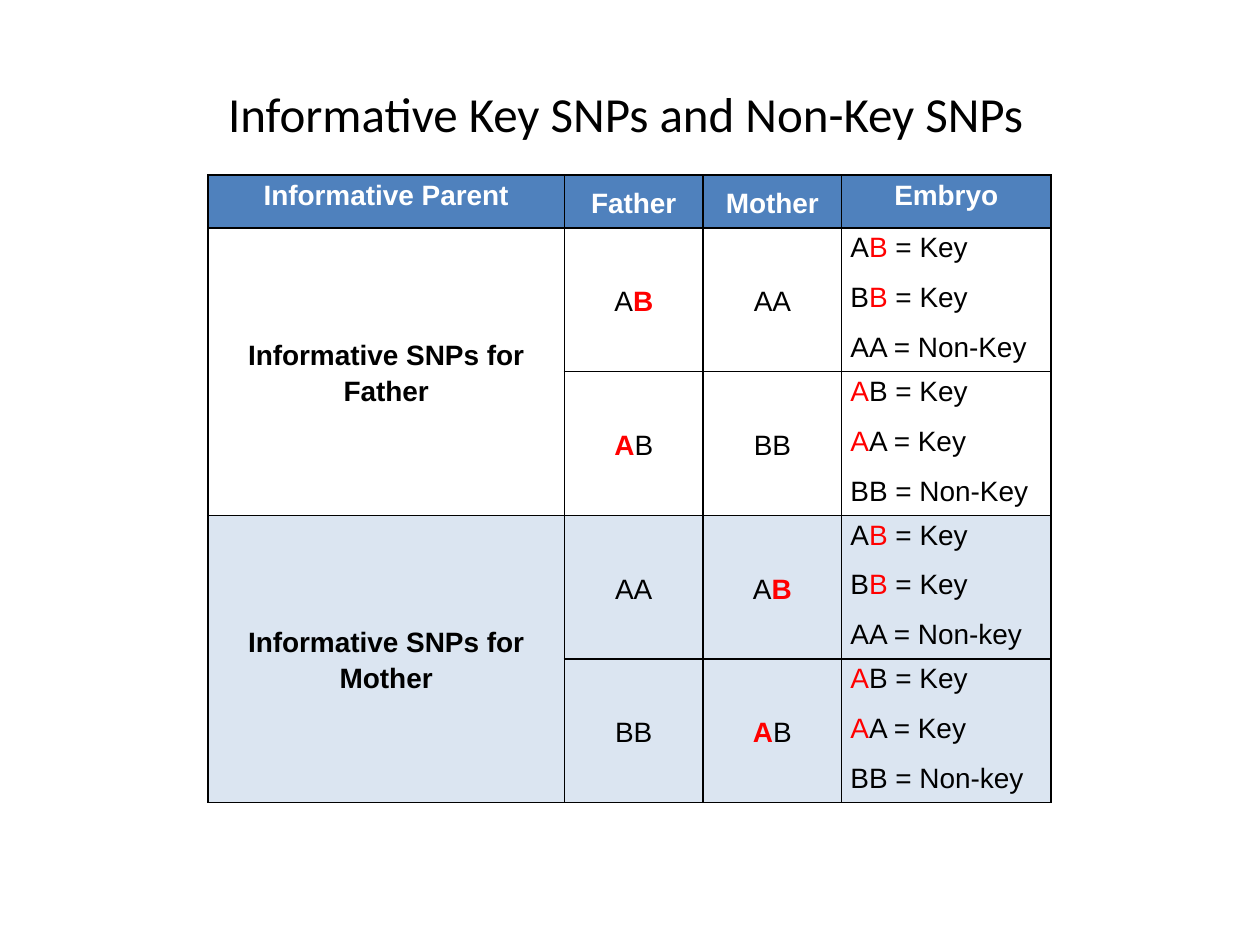
import pptx
import pptx.dml.color
import pptx.enum.text
import pptx.oxml
import pptx.oxml.ns
import pptx.util
from pptx.util import Inches, Pt

BLACK = pptx.dml.color.RGBColor(0x00, 0x00, 0x00)
WHITE = pptx.dml.color.RGBColor(0xFF, 0xFF, 0xFF)
RED = pptx.dml.color.RGBColor(0xFF, 0x00, 0x00)
HEADER_BLUE = pptx.dml.color.RGBColor(0x4F, 0x81, 0xBD)
PALE_BLUE = pptx.dml.color.RGBColor(0xDB, 0xE5, 0xF1)

ALIGN = pptx.enum.text.PP_ALIGN
ANCHOR = pptx.enum.text.MSO_ANCHOR

COLUMN_WIDTHS = [2.83, 1.1, 1.1, 1.66]
HEADER_HEIGHT, BODY_HEIGHT = 0.42, 1.14
HEADINGS = ["Informative Parent", "Father", "Mother", "Embryo"]

# Letters between asterisks are the informative allele, shown in red
GROUPS = [
    ("Informative SNPs for Father", WHITE, [
        ("A*B*", "AA", ["A*B* = Key", "B*B* = Key", "AA = Non-Key"]),
        ("*A*B", "BB", ["*A*B = Key", "*A*A = Key", "BB = Non-Key"]),
    ]),
    ("Informative SNPs for Mother", PALE_BLUE, [
        ("AA", "A*B*", ["A*B* = Key", "B*B* = Key", "AA = Non-key"]),
        ("BB", "*A*B", ["*A*B = Key", "*A*A = Key", "BB = Non-key"]),
    ]),
]


def add_title(slide, left, top, width, height):
    title = slide.shapes.title
    title.left, title.top = Inches(left), Inches(top)
    title.width, title.height = Inches(width), Inches(height)
    frame = title.text_frame
    frame.text = "Informative Key SNPs and Non-Key SNPs"
    frame.word_wrap = False
    frame.vertical_anchor = ANCHOR.TOP
    paragraph = frame.paragraphs[0]
    paragraph.alignment = ALIGN.LEFT
    font = paragraph.runs[0].font
    font.name, font.size, font.color.rgb = "Calibri", Pt(28), BLACK


def set_borders(cell):
    """Draw a 1 pt black line on each side; lines go before the fill."""
    properties = cell._tc.get_or_add_tcPr()
    for index, side in enumerate(["lnL", "lnR", "lnT", "lnB"]):
        properties.insert(index, pptx.oxml.parse_xml(
            f'<a:{side} {pptx.oxml.ns.nsdecls("a")} w="12700"><a:solidFill>'
            f'<a:srgbClr val="{BLACK}"/></a:solidFill></a:{side}>'))


def fill_cell(cell, lines, fill, color=BLACK, bold=False, red_bold=True,
              alignment=ALIGN.CENTER, anchor=ANCHOR.MIDDLE):
    cell.fill.solid()
    cell.fill.fore_color.rgb = fill
    cell.vertical_anchor = anchor
    cell.margin_left = cell.margin_right = Inches(0.07)
    cell.margin_top = cell.margin_bottom = 0
    frame = cell.text_frame
    for index, line in enumerate(lines):
        paragraph = frame.add_paragraph() if index else frame.paragraphs[0]
        paragraph.alignment = alignment
        paragraph.line_spacing = 1.15
        paragraph.space_before = Pt(4 if index else 0)
        paragraph.space_after = Pt(4)
        for part, text in enumerate(line.split("*")):
            if not text:
                continue
            is_red = part % 2 == 1
            run = paragraph.add_run()
            run.text = text
            run.font.name, run.font.size = "Arial", Pt(16)
            run.font.bold = red_bold if is_red else bold
            run.font.color.rgb = RED if is_red else color


def add_snp_table(slide, left, top):
    heights = [HEADER_HEIGHT] + [BODY_HEIGHT] * 4
    table = slide.shapes.add_table(
        len(heights), len(COLUMN_WIDTHS), Inches(left), Inches(top),
        Inches(sum(COLUMN_WIDTHS)), Inches(sum(heights))).table
    for column, width in zip(table.columns, COLUMN_WIDTHS):
        column.width = Inches(width)
    for row, height in zip(table.rows, heights):
        row.height = Inches(height)

    # Header row: outer headings sit at the top, parents in the middle
    for column, heading in enumerate(HEADINGS):
        anchor = ANCHOR.MIDDLE if column in (1, 2) else ANCHOR.TOP
        fill_cell(table.cell(0, column), [heading], HEADER_BLUE, WHITE,
                  bold=True, anchor=anchor)

    # Two rows for each informative parent
    for group, (label, fill, cases) in enumerate(GROUPS):
        first = 1 + 2 * group
        table.cell(first, 0).merge(table.cell(first + 1, 0))
        fill_cell(table.cell(first, 0), [label], fill, bold=True)
        for row, (father, mother, embryo) in enumerate(cases, first):
            fill_cell(table.cell(row, 1), [father], fill)
            fill_cell(table.cell(row, 2), [mother], fill)
            fill_cell(table.cell(row, 3), embryo, fill, red_bold=False,
                      alignment=ALIGN.LEFT, anchor=ANCHOR.TOP)

    for cell in table.iter_cells():
        set_borders(cell)


def main():
    presentation = pptx.Presentation()
    presentation.slide_width, presentation.slide_height = Inches(10), Inches(7.5)
    slide = presentation.slides.add_slide(presentation.slide_layouts[5])
    add_title(slide, 1.71, 0.61, 6.59, 0.57)
    add_snp_table(slide, 1.65, 1.39)
    presentation.save("out.pptx")


if __name__ == "__main__":
    main()
